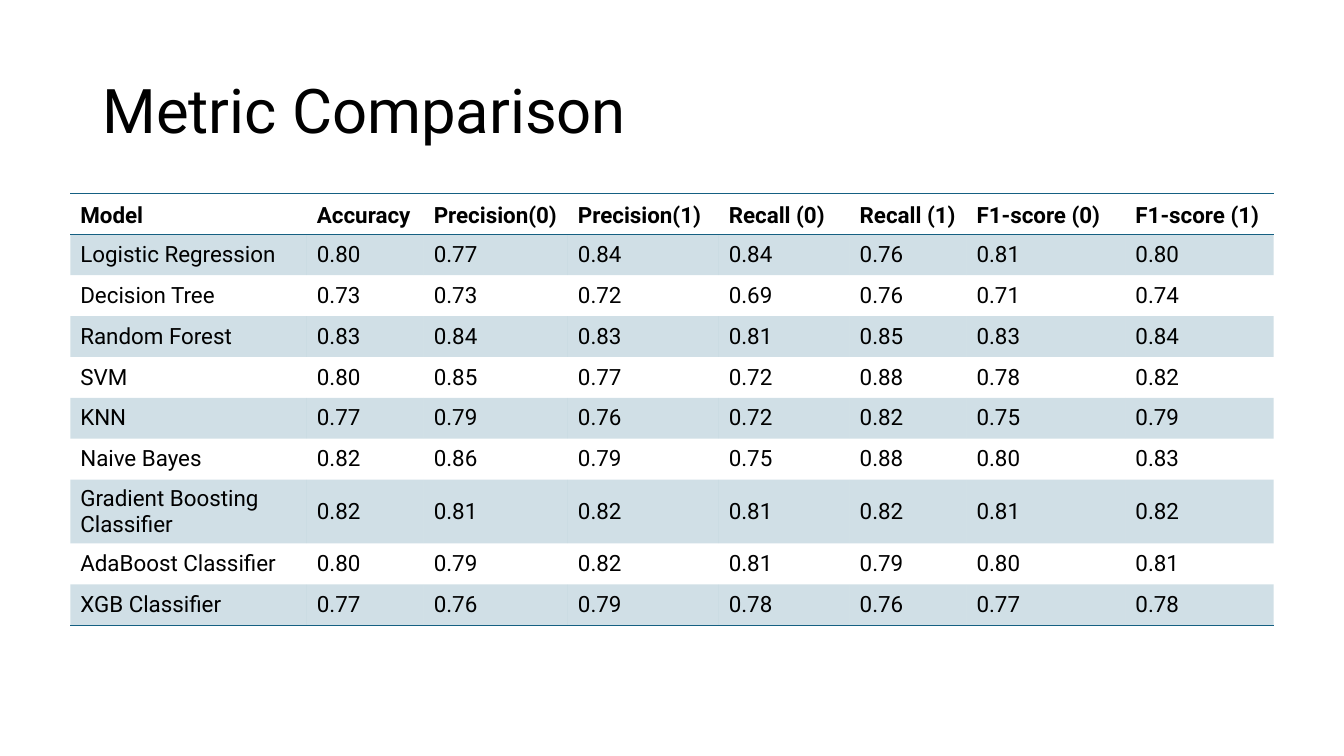
import pptx
import pptx.dml.color
import pptx.enum.text
import pptx.oxml
import pptx.oxml.ns
import pptx.util
from dataclasses import dataclass

Pt = pptx.util.Pt
MIDDLE = pptx.enum.text.MSO_ANCHOR.MIDDLE
BOTTOM = pptx.enum.text.MSO_ANCHOR.BOTTOM
PLAIN_STYLE = "{2D5ABB26-0587-4C30-8999-92F81FD0307C}"  # no style, no grid


@dataclass
class Theme:
    font: str = "Roboto"
    ink: str = "000000"
    accent: str = "156082"
    band_alpha: int = 20
    title_size: int = 44
    table_size: int = 16
    rule_width: int = 1


class SlideBuilder:
    def __init__(self, slide, theme):
        self.s = slide
        self.theme = theme

    def style(self, p, size, bold=False):
        for r in p.runs:
            r.font.name = self.theme.font
            r.font.size = Pt(size)
            r.font.bold = bold
            r.font.color.rgb = pptx.dml.color.RGBColor.from_string(self.theme.ink)

    def title(self, text, left, top, width, height):
        sp = self.s.shapes.add_textbox(Pt(left), Pt(top), Pt(width), Pt(height))
        tf = sp.text_frame
        tf.word_wrap = True
        tf.vertical_anchor = MIDDLE
        p = tf.paragraphs[0]
        p.text = text
        p.line_spacing = 0.9
        self.style(p, self.theme.title_size)

    def rule(self, cell, side):
        """Draw a line along the top (T) or bottom (B) of a cell."""
        ln = pptx.oxml.parse_xml(
            f'<a:ln{side} {pptx.oxml.ns.nsdecls("a")} w="{Pt(self.theme.rule_width)}">'
            f'<a:solidFill><a:srgbClr val="{self.theme.accent}"/></a:solidFill></a:ln{side}>')
        cell._tc.get_or_add_tcPr().insert(0, ln)

    def band(self, cell):
        """Tint a cell with the translucent accent colour."""
        cell.fill.solid()
        cell.fill.fore_color.rgb = pptx.dml.color.RGBColor.from_string(self.theme.accent)
        qn = pptx.oxml.ns.qn
        clr = cell._tc.tcPr.find(qn("a:solidFill")).find(qn("a:srgbClr"))
        clr.append(pptx.oxml.parse_xml(
            f'<a:alpha {pptx.oxml.ns.nsdecls("a")} val="{self.theme.band_alpha * 1000}"/>'))

    def table(self, rows, left, top, widths, row_height):
        frame = self.s.shapes.add_table(len(rows), len(widths), Pt(left), Pt(top),
                                        Pt(sum(widths)), Pt(row_height * len(rows)))
        table = frame.table
        table.first_row = True
        table.horz_banding = False
        table._tbl.tblPr.find(pptx.oxml.ns.qn("a:tableStyleId")).text = PLAIN_STYLE
        for column, width in zip(table.columns, widths):
            column.width = Pt(width)
        for i, row in enumerate(rows):
            table.rows[i].height = Pt(row_height)
            header = i == 0
            for j, text in enumerate(row):
                cell = table.cell(i, j)
                cell.text_frame.text = text
                cell.vertical_anchor = BOTTOM if header else MIDDLE
                self.style(cell.text_frame.paragraphs[0], self.theme.table_size, header)
                if i % 2:
                    self.band(cell)
                else:
                    cell.fill.background()
                if header or i == len(rows) - 1:
                    self.rule(cell, "B")
                if header:
                    self.rule(cell, "T")


HEADER = ["Model", "Accuracy", "Precision(0)", "Precision(1)",
          "Recall (0)", "Recall (1)", "F1-score (0)", "F1-score (1)"]
SCORES = {
    "Logistic Regression": "0.80 0.77 0.84 0.84 0.76 0.81 0.80",
    "Decision Tree": "0.73 0.73 0.72 0.69 0.76 0.71 0.74",
    "Random Forest": "0.83 0.84 0.83 0.81 0.85 0.83 0.84",
    "SVM": "0.80 0.85 0.77 0.72 0.88 0.78 0.82",
    "KNN": "0.77 0.79 0.76 0.72 0.82 0.75 0.79",
    "Naive Bayes": "0.82 0.86 0.79 0.75 0.88 0.80 0.83",
    "Gradient Boosting Classifier": "0.82 0.81 0.82 0.81 0.82 0.81 0.82",
    "AdaBoost Classifier": "0.80 0.79 0.82 0.81 0.79 0.80 0.81",
    "XGB Classifier": "0.77 0.76 0.79 0.78 0.76 0.77 0.78",
}
WIDTHS = [169, 83.5, 103, 107.8, 93.5, 83.5, 113.5, 105.8]


def main():
    prs = pptx.Presentation()
    prs.slide_width, prs.slide_height = Pt(960), Pt(540)
    s = prs.slides.add_slide(prs.slide_layouts[6])
    builder = SlideBuilder(s, Theme())

    # Heading
    builder.title("Metric Comparison", 66, 28.75, 828, 104.4)

    # Scores by model
    rows = [HEADER] + [[model, *scores.split()] for model, scores in SCORES.items()]
    builder.table(rows, 50.2, 138.2, WIDTHS, 29.2)

    prs.save("out.pptx")


if __name__ == "__main__":
    main()
